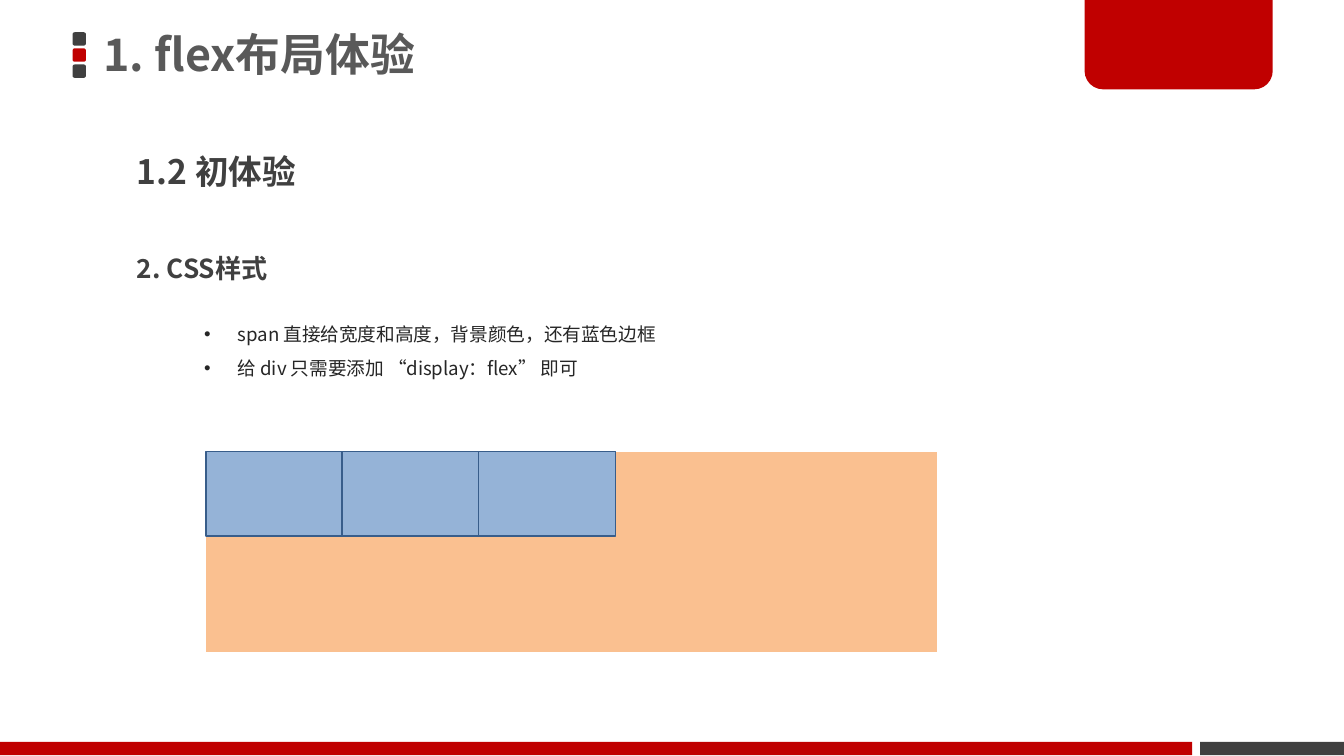
from lxml import etree
from pptx import Presentation
from pptx import util as u
from pptx.dml.color import RGBColor
from pptx.enum import shapes, text
from pptx.oxml import ns

CELL = u.Inches(0.1)
COLS, ROWS = 100, 56.25
FACE = "Noto Sans CJK SC"
RED = RGBColor(0xC0, 0x00, 0x00)
DARK = RGBColor(0x40, 0x40, 0x40)
GRAY = RGBColor(0x59, 0x59, 0x59)
INK = RGBColor(0x26, 0x26, 0x26)
PEACH = RGBColor(0xFA, 0xC0, 0x90)
BLUE = RGBColor(0x95, 0xB3, 0xD7)
NAVY = RGBColor(0x38, 0x5D, 0x8A)
KIND = shapes.MSO_SHAPE


def grid(*cells):
    return [round(cell * CELL) for cell in cells]


def block(tree, kind, area, fill, line=None, bends=()):
    shape = tree.add_shape(kind, *grid(*area))
    shape.shadow.inherit = False
    shape.fill.solid()
    shape.fill.fore_color.rgb = fill
    if line is None:
        shape.line.fill.background()
    else:
        shape.line.color.rgb = line
        shape.line.width = u.Pt(1)
    for index, bend in enumerate(bends):
        shape.adjustments[index] = bend


def bullet(para, color):
    props = para._p.get_or_add_pPr()
    props.set("marL", str(u.Inches(0.75)))
    props.set("indent", str(u.Inches(-0.25)))
    tint = etree.SubElement(props, ns.qn("a:buClr"))
    etree.SubElement(tint, ns.qn("a:srgbClr"), val=str(color))
    etree.SubElement(props, ns.qn("a:buFont"), typeface="Arial")
    etree.SubElement(props, ns.qn("a:buChar"), char="•")


def style(font, size, color, bold):
    font.size = u.Pt(size)
    font.bold = bold
    font.color.rgb = color
    font.name = FACE
    etree.SubElement(font._element, ns.qn("a:ea"), typeface=FACE)


def words(tree, area, lines, size, color, bold=True, space=1.5, dots=False):
    box = tree.add_textbox(*grid(*area))
    frame = box.text_frame
    frame.word_wrap = True
    frame.text = "\n".join(lines)
    for para in frame.paragraphs:
        para.line_spacing = space
        if dots:
            para.level = 1
            bullet(para, color)
        style(para.font, size, color, bold)
    return frame


def frame_page(tree):
    marks = tree.add_group_shape().shapes
    for row, color in enumerate((DARK, RED, DARK)):
        block(marks, KIND.ROUNDED_RECTANGLE, (5.4, 2.4 + 1.2 * row, 1, 1), color)
    foot, split, gap = 55.2, 88.7, 0.6
    start = split + gap
    block(tree, KIND.RECTANGLE, (start, foot, COLS - start, 1), DARK)
    block(tree, KIND.ROUND_2_SAME_RECTANGLE, (80.7, -0.2, 14, 6.85), RED, bends=(0, 0.2))
    block(tree, KIND.RECTANGLE, (0, foot, split, 1), RED)


def flex_demo(tree):
    demo = tree.add_group_shape().shapes
    left, top, step, wide = 15.3, 33.6, 10.15, 10.2
    block(demo, KIND.FLOWCHART_PROCESS, (left, top, 54.4, 14.95), PEACH)
    for col in range(3):
        block(demo, KIND.FLOWCHART_PROCESS, (left + col * step, top, wide, 6.3), BLUE, NAVY)


def main():
    deck = Presentation()
    deck.slide_width, deck.slide_height = grid(COLS, ROWS)
    tree = deck.slides.add_slide(deck.slide_layouts[6]).shapes
    frame_page(tree)
    words(tree, (9.2, 9.2, 38.4, 5.5), ["1.2 初体验"], 18, DARK)
    title = words(tree, (6.9, -0.2, 58.9, 8.9), ["1. flex布局体验"], 24, GRAY, space=0.9)
    title.vertical_anchor = text.MSO_ANCHOR.MIDDLE
    title.margin_left = title.margin_right = u.Inches(0.08)
    title.margin_top = title.margin_bottom = u.Inches(0.04)
    words(tree, (9.2, 17.1, 59.6, 4.5), ["2. CSS样式"], 14, DARK)
    notes = [
        "span 直接给宽度和高度，背景颜色，还有蓝色边框",
        "给 div 只需要添加 “display：flex” 即可",
    ]
    words(tree, (9.2, 22.7, 67.6, 6), notes, 10, INK, bold=False, dots=True)
    flex_demo(tree)
    deck.save("out.pptx")


if __name__ == "__main__":
    main()
